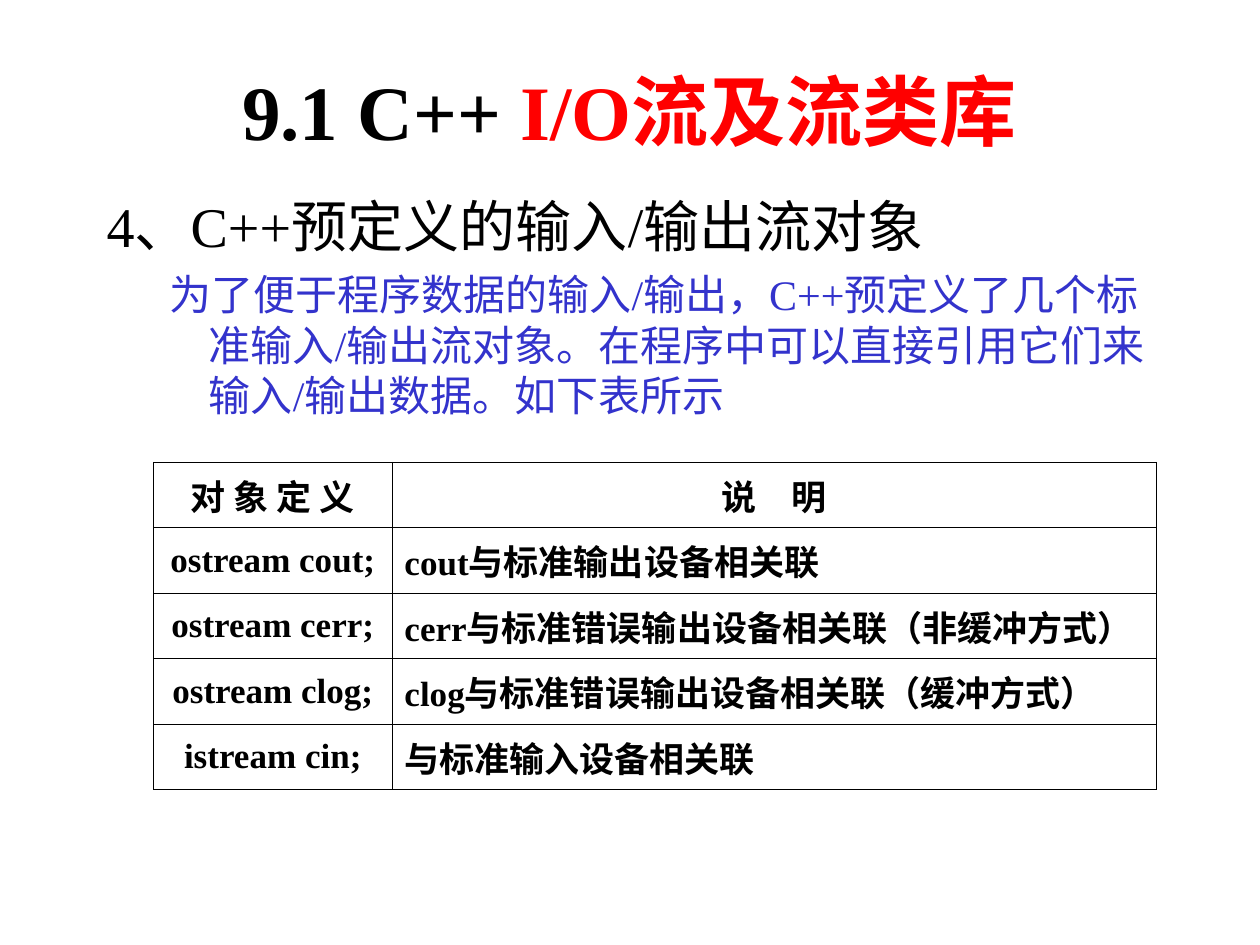
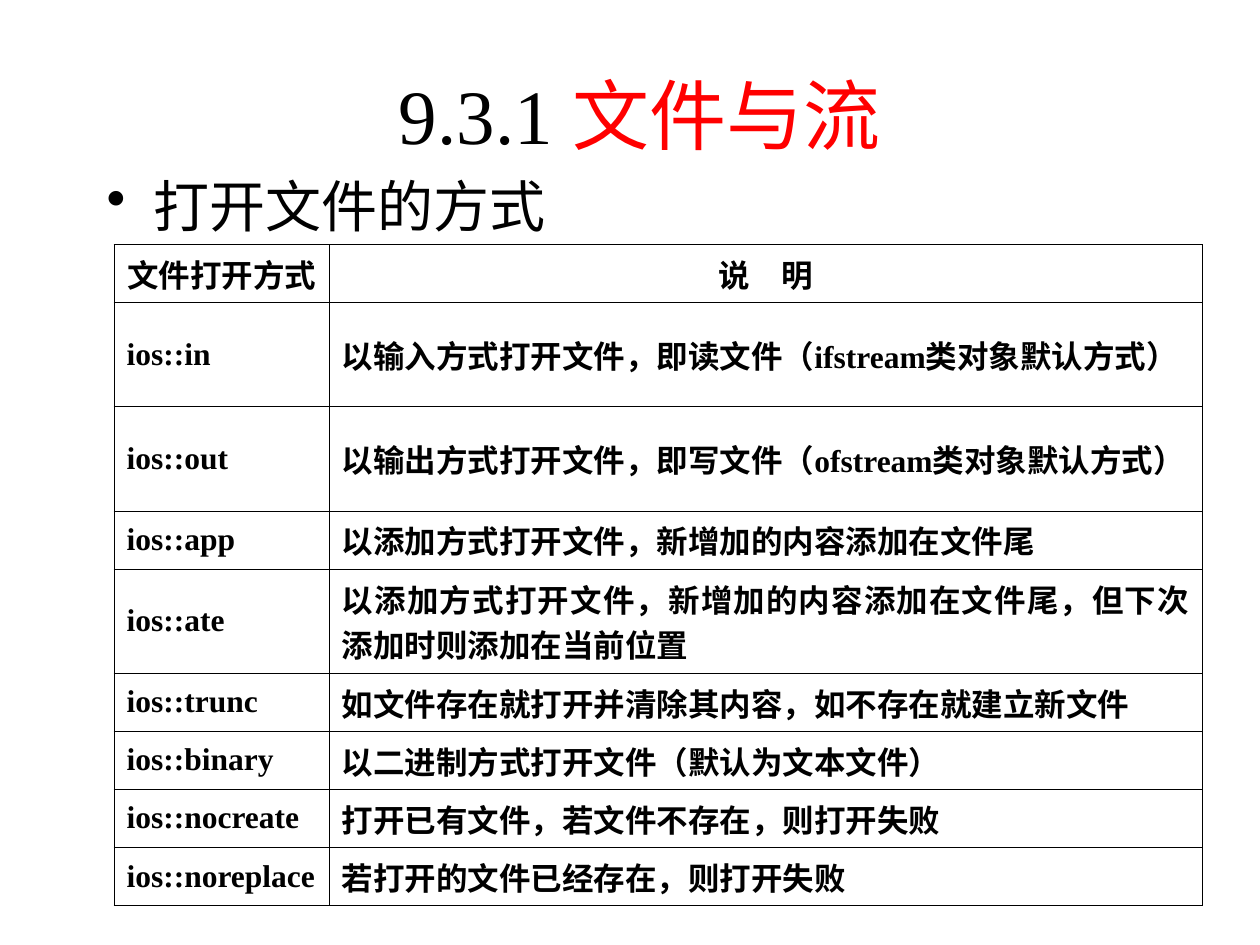
from lxml import etree
from pptx import Presentation
from pptx.dml.color import RGBColor
from pptx.enum.lang import MSO_LANGUAGE_ID
from pptx.enum.text import MSO_ANCHOR, PP_ALIGN
from pptx.oxml.ns import qn
from pptx.util import Cm, Pt

MID = MSO_ANCHOR.MIDDLE
TOP = MSO_ANCHOR.TOP
LEFT = PP_ALIGN.LEFT
CENTER = PP_ALIGN.CENTER
JUST = PP_ALIGN.JUSTIFY
LANG = MSO_LANGUAGE_ID.SIMPLIFIED_CHINESE
FACE = "Times New Roman"
HUES = {"ink": "000000", "red": "FF0000", "blue": "3333CC"}
EDGES = ("a:lnL", "a:lnR", "a:lnT", "a:lnB")

STREAMS = [
    ("对 象 定 义", "说　明"),
    ("ostream cout;", "cout与标准输出设备相关联"),
    ("ostream cerr;", "cerr与标准错误输出设备相关联（非缓冲方式）"),
    ("ostream clog;", "clog与标准错误输出设备相关联（缓冲方式）"),
    ("istream cin;", "与标准输入设备相关联"),
]
MODES = [
    ("文件打开方式", "说　明"),
    ("ios::in", "以输入方式打开文件，即读文件（ifstream类对象默认方式）"),
    ("ios::out", "以输出方式打开文件，即写文件（ofstream类对象默认方式）"),
    ("ios::app", "以添加方式打开文件，新增加的内容添加在文件尾"),
    ("ios::ate", "以添加方式打开文件，新增加的内容添加在文件尾，但下次添加时则添加在当前位置"),
    ("ios::trunc", "如文件存在就打开并清除其内容，如不存在就建立新文件"),
    ("ios::binary", "以二进制方式打开文件（默认为文本文件）"),
    ("ios::nocreate", "打开已有文件，若文件不存在，则打开失败"),
    ("ios::noreplace", "若打开的文件已经存在，则打开失败"),
]


class Deck:
    def __init__(self):
        self.prs = Presentation()
        self.prs.slide_width = Cm(25.4)
        self.prs.slide_height = Cm(19.05)
        self.slide = None

    def page(self):
        self.slide = self.prs.slides.add_slide(self.prs.slide_layouts[6])

    def words(self, para, text, size, hue="ink", bold=False):
        run = para.add_run()
        run.text = text
        style = {"name": FACE, "size": Pt(size), "bold": bold, "language_id": LANG}
        for key, value in style.items():
            setattr(run.font, key, value)
        run.font.color.rgb = RGBColor.from_string(HUES[hue])

    def frame(self, left, top, wide, high, anchor):
        box = self.slide.shapes.add_textbox(Cm(left), Cm(top), Cm(wide), Cm(high))
        box.text_frame.word_wrap = True
        box.text_frame.vertical_anchor = anchor
        return box.text_frame

    def title(self, lead, topic, left, top, high, bold=False):
        para = self.frame(left, top, 21.59, high, MID).paragraphs[0]
        para.alignment = CENTER
        self.words(para, lead, 44, bold=bold)
        self.words(para, topic, 44, "red", bold)

    def indent(self, para, margin, hang, before):
        para.alignment = LEFT
        para.space_before = Pt(before)
        props = para._p.get_or_add_pPr()
        props.set("marL", str(Cm(margin)))
        props.set("indent", str(-Cm(hang)))
        return props

    def body(self, top, head, note=None, mark=None):
        frame = self.frame(1.9, top, 21.59, 13.2, TOP)
        para = frame.paragraphs[0]
        props = self.indent(para, 0.95, 0.95, 8)
        if mark:
            etree.SubElement(props, qn("a:buChar")).set("char", mark)
        self.words(para, head, 32)
        if note:
            para = frame.add_paragraph()
            para.level = 1
            self.indent(para, 2.06, 0.79, 6)
            self.words(para, note, 24, "blue")

    def border(self, cell):
        props = cell._tc.get_or_add_tcPr()
        for edge in EDGES:
            line = etree.SubElement(props, qn(edge), w=str(Pt(0.45)))
            fill = etree.SubElement(line, qn("a:solidFill"))
            etree.SubElement(fill, qn("a:srgbClr"), val=HUES["ink"])

    def table(self, left, top, cols, highs, rows, size, first):
        shape = self.slide.shapes.add_table(
            len(rows), len(cols), Cm(left), Cm(top), Cm(sum(cols)), Cm(sum(highs)))
        table = shape.table
        table.first_row = table.horz_banding = False
        for col, wide in zip(table.columns, cols):
            col.width = Cm(wide)
        for r, (texts, high) in enumerate(zip(rows, highs)):
            table.rows[r].height = Cm(high)
            for c, text in enumerate(texts):
                cell = table.cell(r, c)
                self.border(cell)
                cell.fill.background()
                cell.vertical_anchor = MID
                para = cell.text_frame.paragraphs[0]
                para.alignment = CENTER if r == 0 else (first, JUST)[c]
                self.words(para, text, size, bold=True)


def main():
    deck = Deck()

    deck.page()
    deck.title("9.1 C++ ", "I/O流及流类库", 1.9, 1.12, 2.2, bold=True)
    deck.body(3.73, "4、C++预定义的输入/输出流对象",
              "为了便于程序数据的输入/输出，C++预定义了几个标准输入/输出流对象。"
              "在程序中可以直接引用它们来输入/输出数据。如下表所示")
    deck.table(3.1, 9.32, (4.8, 15.42), [1.32] * len(STREAMS), STREAMS, 20, CENTER)

    deck.page()
    deck.title("9.3.1 ", "文件与流", 2.1, 0.71, 3.18)
    deck.body(3.33, "打开文件的方式", mark="•")
    highs = [2.1 if r in (1, 2, 4) else 1.17 for r in range(len(MODES))]
    deck.table(2.3, 4.93, (4.34, 17.6), highs, MODES, 18, JUST)

    deck.prs.save("out.pptx")


if __name__ == "__main__":
    main()
